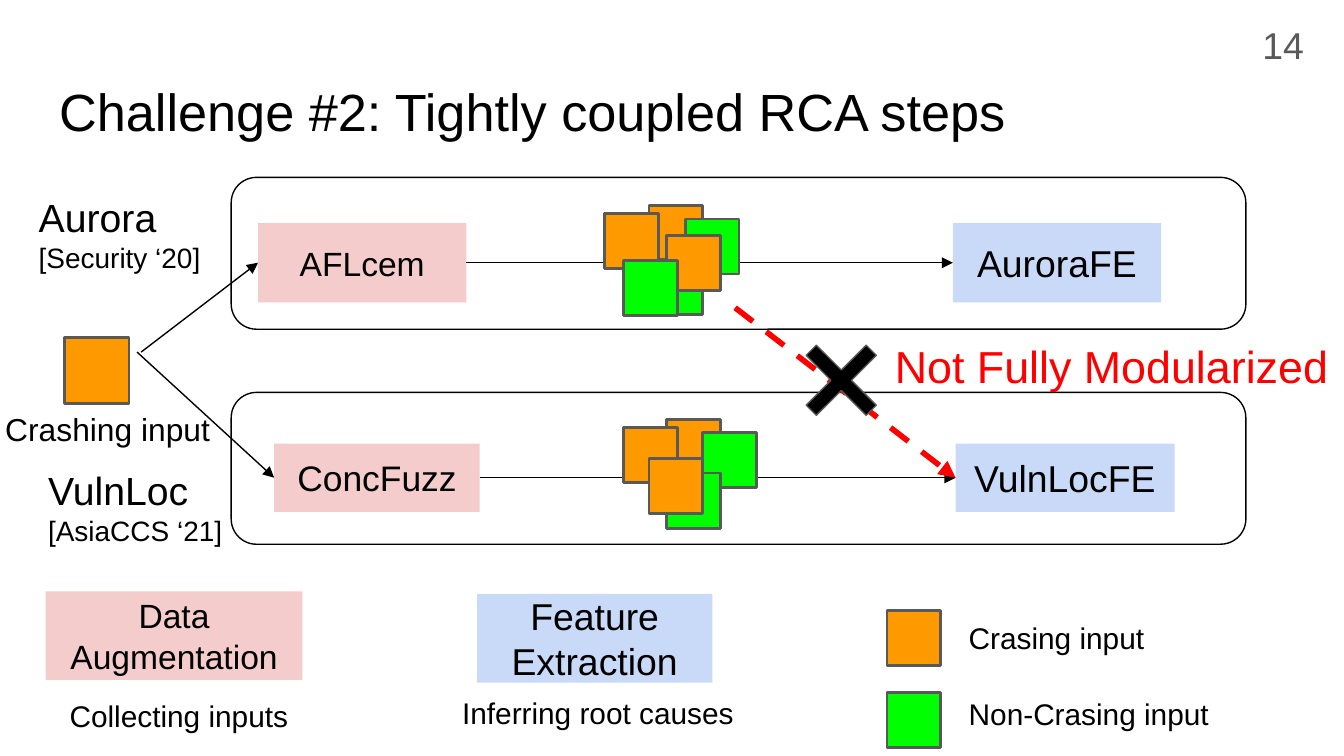
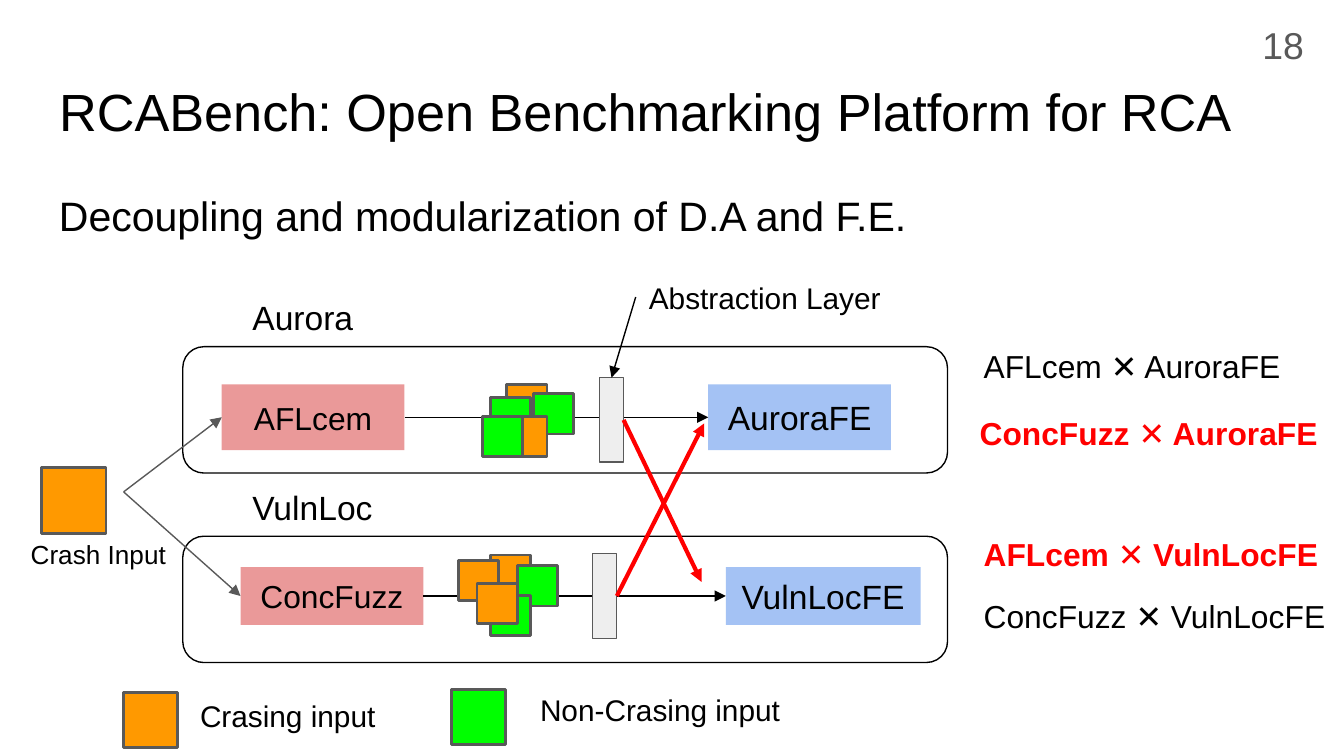
from pptx import Presentation
from pptx.dml.color import RGBColor
from pptx.enum.dml import MSO_LINE_DASH_STYLE as Dash
from pptx.enum.shapes import MSO_CONNECTOR as Connector, MSO_SHAPE as Shape
from pptx.enum.text import MSO_ANCHOR as Anchor, PP_ALIGN as Align
from pptx.oxml.ns import qn
from pptx.util import Inches, Pt
from lxml.etree import SubElement

# Every length counts cells of a square grid, 100 columns across the slide.
CELL = Inches(0.1)
COLUMNS, ROWS = 100, 56.25
FONT = "Arial"
COLORS = {
    "ink": "000000", "grey": "595959", "red": "FF0000",
    "crash": "FF9900", "safe": "00FF00", "layer": "EEEEEE",
    "pink": "F4CCCC", "blue": "C9DAF8",
    "deep pink": "EA9999", "deep blue": "A4C2F4",
}
COLORS = {name: RGBColor.from_string(value) for name, value in COLORS.items()}


def add_box(page, area, kind=None, fill=None, line=None, width=0.75,
            text="", sizes=(16,), color="ink", bold=False, align=None):
    """Add a preset shape, or a text box when no kind is given; sizes go by paragraph."""
    area = [round(value * CELL) for value in area]
    if kind is None:
        box = page.shapes.add_textbox(*area)
    else:
        box = page.shapes.add_shape(kind, *area)
        box.shadow.inherit = False
        if fill:
            box.fill.solid()
            box.fill.fore_color.rgb = COLORS[fill]
        else:
            box.fill.background()
        if line:
            box.line.color.rgb = COLORS[line]
            box.line.width = Pt(width)
        else:
            box.line.fill.background()
    if text:
        frame = box.text_frame
        frame.text = text
        frame.word_wrap = True
        frame.vertical_anchor = Anchor.MIDDLE if kind else Anchor.TOP
        frame.margin_left = frame.margin_right = CELL
        frame.margin_top = frame.margin_bottom = CELL
        for index, para in enumerate(frame.paragraphs):
            para.alignment = align or (Align.CENTER if kind else Align.LEFT)
            para.font.name = FONT
            para.font.size = Pt(sizes[min(index, len(sizes) - 1)])
            para.font.bold = bold
            para.font.color.rgb = COLORS[color]
    return box


def add_arrow(page, start, end, color="ink", width=0.75, dash=None):
    """Each end is a grid point (column, row) or a joint (box, side)."""
    arrow = page.shapes.add_connector(Connector.STRAIGHT, 0, 0, 0, 0)
    if isinstance(start[0], (int, float)):
        arrow.begin_x, arrow.begin_y = (round(value * CELL) for value in start)
    else:
        arrow.begin_connect(*start)
    if isinstance(end[0], (int, float)):
        arrow.end_x, arrow.end_y = (round(value * CELL) for value in end)
    else:
        arrow.end_connect(*end)
    arrow.line.color.rgb = COLORS[color]
    arrow.line.width = Pt(width)
    if dash:
        arrow.line.dash_style = dash
    SubElement(arrow.line._get_or_add_ln(), qn("a:tailEnd"), type="triangle")
    SubElement(arrow._element.spPr, qn("a:effectLst"))


TOP, LEFT, RIGHT = 0, 1, 3
LEGEND = {"crash": "Crasing input", "safe": "Non-Crasing input"}

# Each lane: frame top, label, fork start, augmentation box, extraction box, inputs.
diagrams = [
    {
        "title": "Challenge #2: Tightly coupled RCA steps", "number": "14",
        "frame": (17.2, 75.5, 11.3), "fills": ("pink", "blue"),
        "source": (4.8, 25.1), "fork": "ink", "input": (4, 4.1),
        "caption": ("Crashing input", (-0.6, 29.5, 17.5, 4.9), 17),
        "label sizes": (21, 15),
        "legend": {"crash": (66, 45.4, 71.1, 45.1), "safe": (66, 51.5, 71.1, 50.8)},
        "lanes": [
            (13.2, ("Aurora\n[Security ‘20]", (1.9, 13.4, 14.7, 8.1)), (10.5, 26.2),
             ("AFLcem", (19.2, 16.6, 15.5, 5.9), 18),
             ("AuroraFE", (70.9, 16.6, 15.5, 5.9), 20),
             [(48.3, 15.3, "crash"), (51, 16.3, "safe"), (48.3, 19.3, "safe"),
              (45, 15.9, "crash"), (49.6, 17.5, "crash"), (46.4, 19.4, "safe")]),
            (29.2, ("VulnLoc\n[AsiaCCS ‘21]", (2.6, 33.7, 15.3, 8.1)), (10.2, 26.2),
             ("ConcFuzz", (20.4, 33, 15.3, 5.1), 19),
             ("VulnLocFE", (71.1, 33, 16.3, 5.1), 20),
             [(49.6, 31.2, "crash"), (52.3, 32.2, "safe"), (49.6, 35.2, "safe"),
              (46.4, 31.8, "crash"), (48.3, 34.1, "crash")]),
        ],
    },
    {
        "title": "RCABench: Open Benchmarking Platform for RCA", "number": "18",
        "frame": (13.6, 56.9, 9.4), "fills": ("deep pink", "deep blue"),
        "source": (3.1, 34.8), "fork": "grey", "input": (3, 3),
        "caption": ("Crash Input", (1.3, 39.1, 12.6, 4.4), 14),
        "label sizes": (18,),
        "legend": {"crash": (9.2, 51.5, 13.9, 50.9), "safe": (33.6, 51.3, 39.2, 50.5)},
        "lanes": [
            (25.8, ("Aurora", (17.8, 21.1, 15.6, 5)), (9.2, 36.6),
             ("AFLcem", (16.5, 28.6, 13.6, 4.9), 17),
             ("AuroraFE", (52.7, 28.6, 13.6, 4.9), 18),
             [(37.7, 28.6, "crash"), (39.7, 29.3, "safe"), (36.5, 29.6, "safe"),
              (37.7, 31, "crash"), (35.9, 31, "safe")]),
            (39.9, ("VulnLoc", (17.8, 35.2, 15.6, 5)), (9.2, 36.6),
             ("ConcFuzz", (17.9, 42.2, 13.6, 4.3), 17),
             ("VulnLocFE", (54, 42.2, 14.5, 4.3), 18),
             [(36.5, 41.3, "crash"), (38.5, 42.1, "safe"), (36.5, 44.3, "safe"),
              (34.1, 41.7, "crash"), (35.5, 43.4, "crash")]),
        ],
    },
]

deck = Presentation()
deck.slide_width, deck.slide_height = round(COLUMNS * CELL), round(ROWS * CELL)
pages, extractors = [], []

for diagram in diagrams:
    page = deck.slides.add_slide(deck.slide_layouts[5])
    pages.append(page)

    title = page.shapes.title
    title.left, title.top, title.width, title.height = (
        round(value * CELL) for value in (3.4, 4.9, 93.2, 6.3))
    frame = title.text_frame
    frame.text = diagram["title"]
    frame.vertical_anchor = Anchor.TOP
    frame.margin_left = frame.margin_right = CELL
    frame.margin_top = frame.margin_bottom = CELL
    para = frame.paragraphs[0]
    para.alignment = Align.LEFT
    para.font.name, para.font.size = FONT, Pt(28)
    para.font.color.rgb = COLORS["ink"]

    number = add_box(page, (92, 1.2, 6, 4.3), text=diagram["number"], sizes=(20,),
                     color="grey", align=Align.RIGHT)
    number.text_frame.vertical_anchor = Anchor.MIDDLE

    frame_left, frame_width, frame_height = diagram["frame"]
    for frame_top, label, fork, augmentation, extraction, inputs in diagram["lanes"]:
        add_box(page, (frame_left, frame_top, frame_width, frame_height),
                Shape.ROUNDED_RECTANGLE, line="ink")
        augmenter, extractor = (
            add_box(page, area, Shape.RECTANGLE, fill, text=text, sizes=(size,))
            for (text, area, size), fill in zip((augmentation, extraction), diagram["fills"]))
        extractors.append(extractor)
        add_arrow(page, fork, (augmenter, LEFT), diagram["fork"])
        add_arrow(page, (augmenter, RIGHT), (extractor, LEFT))
        add_box(page, label[1], text=label[0], sizes=diagram["label sizes"])
        for left, top, kind in inputs:
            add_box(page, (left, top, *diagram["input"]), Shape.RECTANGLE,
                    kind, "grey", 1.5)

    add_box(page, (*diagram["source"], 4.8, 4.9), Shape.RECTANGLE, "crash", "grey", 1.5)
    caption, area, size = diagram["caption"]
    add_box(page, area, text=caption, sizes=(size,))
    for kind, (left, top, text_left, text_top) in diagram["legend"].items():
        add_box(page, (left, top, 4, 4.1), Shape.RECTANGLE, kind, "grey", 1.5)
        add_box(page, (text_left, text_top, 21.6, 4.7), text=LEGEND[kind])

coupled, modular = pages

# Coupled steps: the blocked path and the key to the two steps
add_arrow(coupled, (54.7, 22.9), (extractors[1], LEFT), "red", 3, Dash.DASH)
cross = add_box(coupled, (58.3, 24, 8.6, 8.6), Shape.MATH_MULTIPLY, "ink", "grey")
cross.adjustments[0] = 0.125
verdict = add_box(coupled, (65.6, 24.7, 34.6, 5), text="Not Fully Modularized",
                  sizes=(24,), color="red")
verdict.text_frame.margin_top = verdict.text_frame.margin_bottom = CELL // 2
add_box(coupled, (3.4, 44, 19.1, 6.6), Shape.RECTANGLE, "pink",
        text="Data\vAugmentation", sizes=(18,))
add_box(coupled, (35.5, 44.2, 17.5, 6.6), Shape.RECTANGLE, "blue",
        text="Feature\nExtraction", sizes=(20,))
add_box(coupled, (4.2, 50.9, 18.6, 4.7), text="Collecting inputs")
add_box(coupled, (33.4, 50.7, 22.9, 4.7), text="Inferring root causes")

# Modular steps: abstraction layers, crossed paths and the four pairings
summary = add_box(modular, (3.4, 12.6, 93.2, 6.3), sizes=(22,),
                  text="Decoupling and modularization of D.A and F.E.")
summary.text_frame.paragraphs[0].line_spacing = 1.15
layers = [add_box(modular, (left, top, 1.8, 6.3), Shape.RECTANGLE, "layer", "grey")
          for left, top in ((44.6, 28.1), (44.1, 41.2))]
add_box(modular, (47.3, 19.8, 19.8, 4.7), text="Abstraction Layer")
add_arrow(modular, (47.3, 22.1), (layers[0], TOP))
for layer, target in zip(layers, ((52.2, 43.3), (52.4, 31.5))):
    add_arrow(modular, (layer, RIGHT), target, "red", 2.25)

for left, top, pairing, is_new in (
        (72.2, 24.8, "AFLcem ✕ AuroraFE", False),
        (71.9, 29.8, "ConcFuzz ✕ AuroraFE", True),
        (72.2, 38.8, "AFLcem ✕ VulnLocFE", True),
        (72.2, 43.4, "ConcFuzz ✕ VulnLocFE", False)):
    add_box(modular, (left, top, 30.8, 4.9), text=pairing, sizes=(17,),
            color="red" if is_new else "ink", bold=is_new)

deck.save("out.pptx")
